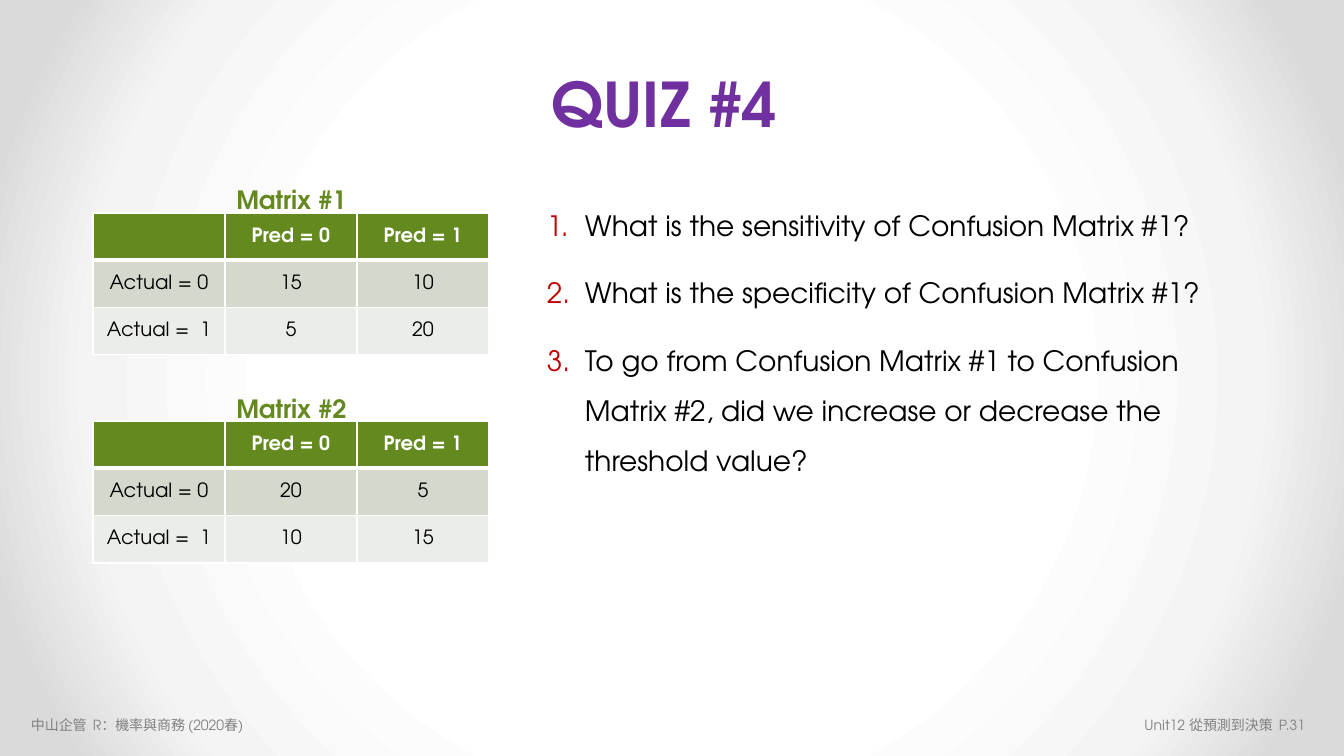
from lxml.etree import SubElement
from pptx import Presentation
from pptx.dml.color import RGBColor
from pptx.enum.text import MSO_ANCHOR, PP_ALIGN
from pptx.oxml import parse_xml
from pptx.oxml.ns import nsdecls, qn
from pptx.util import Pt

PX = 914400 / 100.8
FONT = "TeX Gyre Adventor"
GREEN, WHITE, BLACK, GRAY = "63891F", "FFFFFF", "000000", "808080"


def color(hex_string):
    return RGBColor.from_string(hex_string)


def style(paragraph, text, size, hex_string, bold=False, align=PP_ALIGN.LEFT):
    paragraph.text = text
    paragraph.alignment = align
    font = paragraph.font
    font.name, font.size, font.bold = FONT, Pt(size), bold
    font.color.rgb = color(hex_string)


presentation = Presentation()
presentation.slide_width = round(1344 * PX)
presentation.slide_height = round(756 * PX)
slide = presentation.slides.add_slide(presentation.slide_layouts[6])

# Background: circular gradient, white in the middle
stops = "".join(
    f'<a:gs pos="{position * 1000}"><a:srgbClr val="{shade}"/></a:gs>'
    for position, shade in [(50, WHITE), (76, "F4F4F4"), (92, "DADADA")])
background = parse_xml(
    f'<p:bg {nsdecls("p", "a")}><p:bgPr><a:gradFill rotWithShape="1"><a:gsLst>{stops}</a:gsLst>'
    '<a:path path="circle"><a:fillToRect l="50000" t="50000" r="50000" b="50000"/></a:path>'
    '</a:gradFill><a:effectLst/></p:bgPr></p:bg>')
slide.element.cSld.insert(0, background)

# Title, footers and matrix captions
LABELS = [
    ("中山企管  R：機率與商務 (2020春)", 21, 712, 270, 27, 10, GRAY, False, PP_ALIGN.LEFT),
    ("Unit12 從預測到決策  P.31", 1019, 712, 296, 27, 10, GRAY, False, PP_ALIGN.RIGHT),
    ("QUIZ #4", 236, 55, 857, 95, 44, "7030A0", True, PP_ALIGN.CENTER),
    ("Matrix #1", 93, 179, 397, 40, 18, GREEN, True, PP_ALIGN.CENTER),
    ("Matrix #2", 93, 388, 397, 40, 18, GREEN, True, PP_ALIGN.CENTER),
]
for text, left, top, width, height, size, hex_string, bold, align in LABELS:
    box = slide.shapes.add_textbox(*[round(n * PX) for n in (left, top, width, height)])
    frame = box.text_frame
    frame.word_wrap = True
    frame.vertical_anchor = MSO_ANCHOR.MIDDLE if size == 44 else MSO_ANCHOR.TOP
    style(frame.paragraphs[0], text, size, hex_string, bold, align)

# Numbered questions
QUESTIONS = [
    "What is the sensitivity of Confusion Matrix #1?",
    "What is the specificity of Confusion Matrix #1?",
    "To go from Confusion Matrix #1 to Confusion Matrix #2, "
    "did we increase or decrease the threshold value?",
]
box = slide.shapes.add_textbox(*[round(n * PX) for n in (537, 187, 711, 298)])
frame = box.text_frame
frame.word_wrap = True
for index, question in enumerate(QUESTIONS):
    paragraph = frame.add_paragraph() if index else frame.paragraphs[0]
    properties = paragraph._p.get_or_add_pPr()
    properties.set("marL", str(round(38 * PX)))
    properties.set("indent", str(round(-38 * PX)))
    bullet_color = SubElement(properties, qn("a:buClr"))
    SubElement(bullet_color, qn("a:srgbClr"), val="C00000")
    SubElement(properties, qn("a:buFont"), typeface=FONT)
    SubElement(properties, qn("a:buAutoNum"), type="arabicPeriod")
    paragraph.line_spacing = 1.5
    paragraph.space_after = Pt(12)
    style(paragraph, question, 20, BLACK)

# Confusion matrices
MATRICES = [(213, [("15", "10"), ("5", "20")]), (421, [("20", "5"), ("10", "15")])]
ROW_FILLS = [GREEN, "D3DACD", "EAEDE8"]
for top, (actual_0, actual_1) in MATRICES:
    rows = [("", "Pred = 0", "Pred = 1"), ("Actual = 0", *actual_0), ("Actual =  1", *actual_1)]
    table = slide.shapes.add_table(
        3, 3, *[round(n * PX) for n in (93, top, 396, 142)]).table
    for column in table.columns:
        column.width = round(132 * PX)
    for row_index, values in enumerate(rows):
        header = row_index == 0
        for column_index, value in enumerate(values):
            cell = table.cell(row_index, column_index)
            cell.vertical_anchor = MSO_ANCHOR.MIDDLE
            style(cell.text_frame.paragraphs[0], value, 14,
                  WHITE if header else BLACK, header, PP_ALIGN.CENTER)
            # White borders, thicker under the header row
            for side in "LRTB":
                thick = (row_index, side) in [(0, "B"), (1, "T")]
                line = SubElement(cell._tc.get_or_add_tcPr(), qn(f"a:ln{side}"),
                                  w=str(Pt(3 if thick else 1)))
                SubElement(SubElement(line, qn("a:solidFill")), qn("a:srgbClr"), val=WHITE)
            cell.fill.solid()
            cell.fill.fore_color.rgb = color(ROW_FILLS[row_index])

presentation.save("out.pptx")
